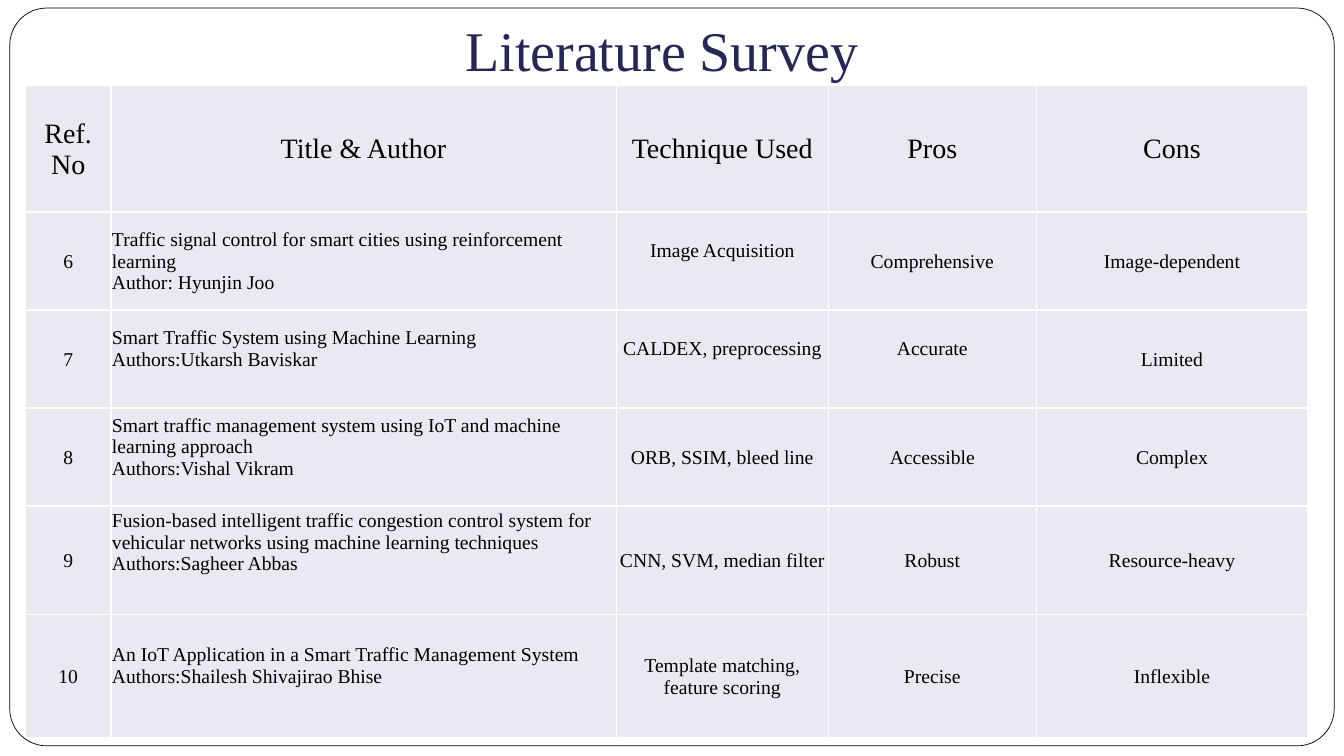
from lxml.etree import SubElement as Sub
from pptx import Presentation
from pptx.dml.color import RGBColor as RGB
from pptx.enum.shapes import MSO_SHAPE as SHAPE
from pptx.enum.text import MSO_ANCHOR as ANCHOR, PP_ALIGN as ALIGN
from pptx.oxml.ns import qn
from pptx.util import Pt

WHITE = RGB(0xFF, 0xFF, 0xFF)
BLACK = RGB(0, 0, 0)
NAVY = RGB(0x24, 0x28, 0x52)
PALE = RGB(0xE9, 0xEA, 0xF1)
FACE = "Times New Roman"

WIDTHS = [61, 361, 151.5, 148.5, 194]
HEIGHTS = [90.5, 70, 70, 70, 77.5, 88]
ROWS = [
    ["Ref. No", "Title & Author", "Technique Used", "Pros", "Cons"],
    ["6", "Traffic signal control for smart cities using reinforcement learning\n"
     "Author: Hyunjin Joo", "Image Acquisition", "Comprehensive", "Image-dependent"],
    ["7", "Smart Traffic System using Machine Learning\nAuthors:Utkarsh Baviskar",
     "CALDEX, preprocessing", "Accurate", "Limited"],
    ["8", "Smart traffic management system using IoT and machine learning approach\n"
     "Authors:Vishal Vikram", "ORB, SSIM, bleed line", "Accessible", "Complex"],
    ["9", "Fusion-based intelligent traffic congestion control system for vehicular "
     "networks using machine learning techniques\nAuthors:Sagheer Abbas",
     "CNN, SVM, median filter", "Robust", "Resource-heavy"],
    ["10", "An IoT Application in a Smart Traffic Management System\n"
     "Authors:Shailesh Shivajirao Bhise",
     "Template matching, feature scoring", "Precise", "Inflexible"],
]
LIFTS = {(1, 2): 15, (2, 1): 15, (2, 2): 15, (2, 3): 15,
         (3, 1): 15, (4, 1): 26, (5, 1): 15}


def style(item, form):
    for key, value in form.items():
        setattr(item, key, value)


def edge(cell):
    props = cell._tc.get_or_add_tcPr()
    for spot, side in enumerate(("lnL", "lnR", "lnT", "lnB")):
        line = props.makeelement(qn("a:" + side), {"w": str(Pt(1))})
        props.insert(spot, line)
        fill = Sub(line, qn("a:solidFill"))
        Sub(fill, qn("a:srgbClr"), val=str(WHITE))


deck = Presentation()
style(deck, {"slide_width": Pt(960), "slide_height": Pt(540)})
slide = deck.slides.add_slide(deck.slide_layouts[6])
shapes = slide.shapes

frame = shapes.add_shape(SHAPE.ROUNDED_RECTANGLE, Pt(7), Pt(5.75), Pt(946), Pt(527))
frame.adjustments[0] = 0.05
frame.shadow.inherit = False
frame.fill.solid()
frame.fill.fore_color.rgb = WHITE
frame.line.color.rgb = BLACK
frame.line.width = Pt(0.5)

title = shapes.add_textbox(Pt(96), Pt(7.5), Pt(816), Pt(59)).text_frame
style(title, {"word_wrap": True, "vertical_anchor": ANCHOR.BOTTOM,
              "margin_left": Pt(236.5), "margin_top": Pt(3.6),
              "margin_bottom": Pt(7.2), "text": "Literature Survey"})
font = title.paragraphs[0].runs[0].font
style(font, {"name": FACE, "size": Pt(40)})
font.color.rgb = NAVY

table = shapes.add_table(len(ROWS), len(WIDTHS), Pt(18.25), Pt(61),
                         Pt(sum(WIDTHS)), Pt(sum(HEIGHTS))).table
style(table, {"first_row": False, "horz_banding": False})
for col, width in zip(table.columns, WIDTHS):
    col.width = Pt(width)
for row, height in zip(table.rows, HEIGHTS):
    row.height = Pt(height)

for r, texts in enumerate(ROWS):
    for c, text in enumerate(texts):
        cell = table.cell(r, c)
        style(cell, {"text": text, "vertical_anchor": ANCHOR.MIDDLE,
                     "margin_left": Pt(0.75), "margin_right": Pt(0.75),
                     "margin_top": Pt(0.75), "margin_bottom": Pt(LIFTS.get((r, c), 0))})
        cell.fill.solid()
        cell.fill.fore_color.rgb = PALE
        edge(cell)
        for para in cell.text_frame.paragraphs:
            para.alignment = ALIGN.LEFT if r and c == 1 else ALIGN.CENTER
            font = para.runs[0].font
            style(font, {"name": FACE, "size": Pt(14 if r else 20), "bold": False})
            font.color.rgb = BLACK

deck.save("out.pptx")
